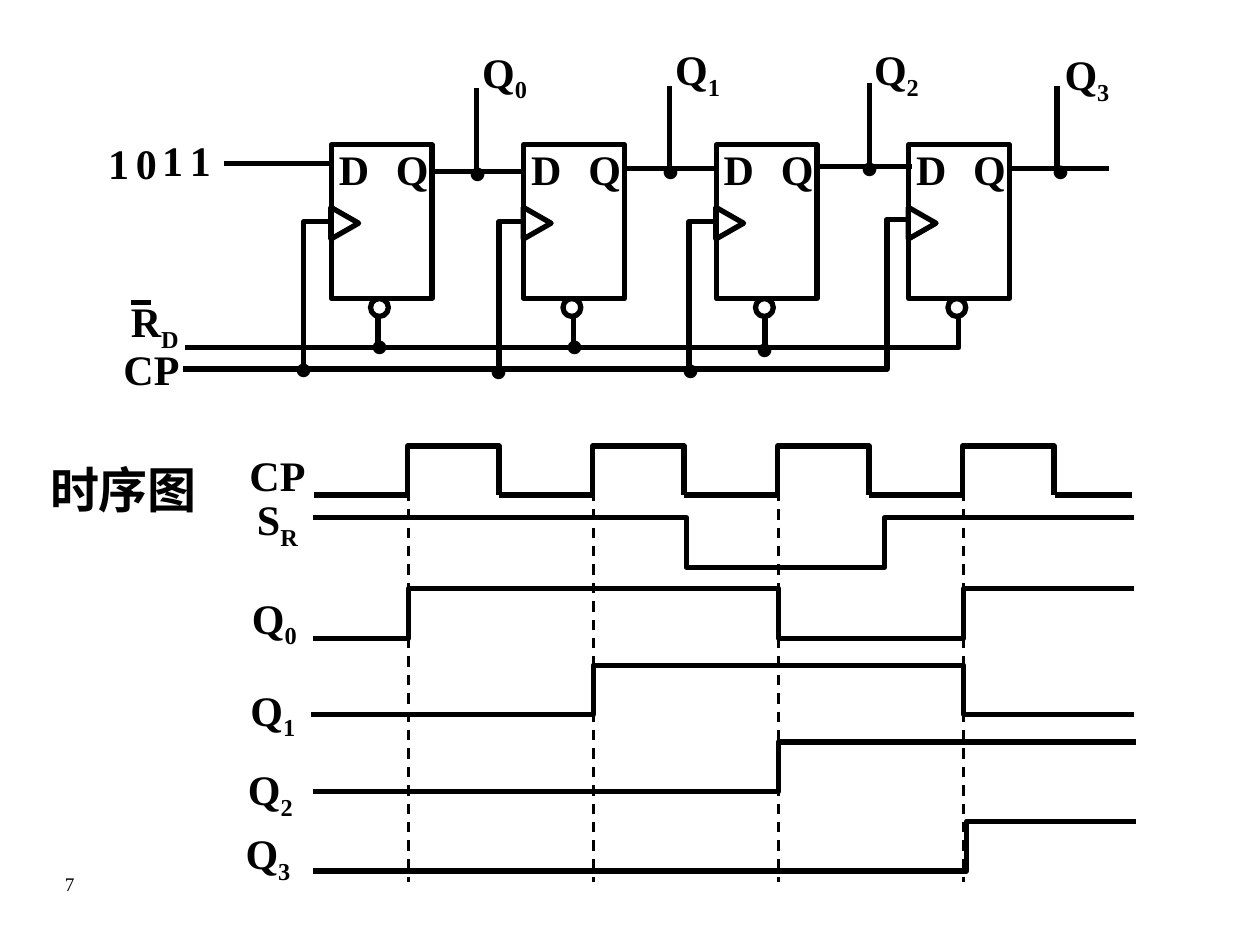
"""Builds the slide of a four-bit shift register and its timing diagram."""
from lxml.etree import SubElement
from pptx import Presentation
from pptx.dml.color import RGBColor as Rgb
from pptx.enum.dml import MSO_LINE as Dash
from pptx.enum.shapes import MSO_CONNECTOR as Link, MSO_SHAPE as Kind
from pptx.enum.text import PP_ALIGN as Align
from pptx.oxml.ns import qn
from pptx.util import Cm, Pt

COLORS = {"ink": "000000"}
FONT = "Times New Roman"
INK = Rgb.from_string(COLORS["ink"])

deck = Presentation()
deck.slide_width, deck.slide_height = Cm(25.4), Cm(19.05)
slide = deck.slides.add_slide(deck.slide_layouts[6])
shapes = slide.shapes


def trace(*spots, width=3, dash=None):
    ends = [(Cm(x), Cm(y)) for x, y in spots]
    if len(ends) == 2:
        wire = shapes.add_connector(Link.STRAIGHT, *ends[0], *ends[1])
    else:
        path = shapes.build_freeform(*ends[0])
        path.add_line_segments(ends[1:], close=False)
        wire = path.convert_to_shape()
        wire.fill.background()
        wire.shadow.inherit = False
    wire.line.color.rgb = INK
    wire.line.width = Pt(width)
    if dash:
        wire.line.dash_style = dash
    if len(ends) == 2:
        SubElement(wire._element.spPr, qn("a:effectLst"))


def label(text, x, y, w, h=1.27, sub="", size=24, bold=True, align=None):
    frame = shapes.add_textbox(Cm(x), Cm(y), Cm(w), Cm(h)).text_frame
    frame.word_wrap = True
    para = frame.paragraphs[0]
    para.alignment = align
    para.font.name, para.font.size = FONT, Pt(size)
    para.font.bold, para.font.color.rgb = bold, INK
    para.add_run().text = text
    if sub:
        run = para.add_run()
        run.text = sub
        run._r.get_or_add_rPr().set("baseline", "-25000")


label("7", 0.15, 17.45, 2.51, 0.94, size=11, bold=False, align=Align.CENTER)
label("时序图", 0.76, 9.14, 4.11, 1.57, size=28)

label("CP", 4.78, 8.94, 2.08)
for i in range(4):
    x = 6.63 + 3.73 * i
    rise, fall = x + 1.59, x + 3.43
    trace((x, 9.98), (rise, 9.98), (rise, 8.99), (fall, 8.99), (fall, 9.98))
    trace((x + 0.13, 9.98), (x - 0.3, 9.98))
    trace((x + 1.6, 9.15), (x + 1.6, 17.78), width=1.5, dash=Dash.DASH)
trace((21.26, 9.98), (22.81, 9.98))

waves = [
    ("S", "R", 4.93, 9.83, 6.32, 22.86, 10.44, True, (13.84, 17.83)),
    ("Q", "0", 4.83, 11.81, 6.32, 22.86, 11.87, False, (8.23, 15.7, 19.43)),
    ("Q", "1", 4.8, 13.67, 6.27, 22.86, 13.41, False, (11.96, 19.43)),
    ("Q", "2", 4.75, 15.27, 6.32, 22.91, 14.96, False, (15.7,)),
    ("Q", "3", 4.7, 16.56, 6.32, 22.91, 16.56, False, (19.48,)),
]
for name, sub, x, y, start, end, top, high, edges in waves:
    label(name, x, y, 2.08, sub=sub)
    level, other = (top, top + 1) if high else (top + 1, top)
    spots = [(start, level)]
    for edge in edges:
        spots += [(edge, level), (edge, other)]
        level, other = other, level
    trace(*spots, (end, level))

for i in range(4):
    x = 6.68 + 3.88 * i
    parts = [
        (Kind.RECTANGLE, x, 2.92, 2.03, 3.1, 0),
        (Kind.ISOSCELES_TRIANGLE, x - 0.05, 4.22, 0.64, 0.56, 90),
        (Kind.OVAL, x + 0.79, 6.02, 0.36, 0.36, 0),
    ]
    for kind, left, top, w, h, turn in parts:
        part = shapes.add_shape(kind, Cm(left), Cm(top), Cm(w), Cm(h))
        part.rotation = turn
        part.shadow.inherit = False
        part.fill.background()
        part.line.color.rgb, part.line.width = INK, Pt(3)
    label("D", x - 0.1, 2.77, 1.65)
    label("Q", x + 1.05, 2.77, 1.65)

label("R", 2.39, 5.84, 1.96, sub="D")
trace((2.64, 6.1), (3.05, 6.1))
trace((19.33, 6.35), (19.33, 7.01), (3.73, 7.01))
for x, end in [(7.62, 6.96), (11.56, 7.01), (15.42, 7.06)]:
    trace((x, 6.35), (x, end))

label("CP", 2.24, 6.81, 1.96)
trace((18.34, 4.42), (17.88, 4.42), (17.88, 7.44), (3.68, 7.44))
for x in (6.63, 10.57, 14.4):
    trace((x, 4.47), (x - 0.51, 4.47), (x - 0.51, 7.44))

links = [(4.52, 6.63, 3.3), (8.66, 10.57, 3.45), (12.6, 14.45, 3.4),
         (16.54, 18.39, 3.35), (20.37, 22.35, 3.4)]
for start, end, y in links:
    trace((start, y), (end, y))

taps = [(9.6, 3.4, 1.78, 9.47, 0.81), (13.49, 3.38, 1.73, 13.36, 0.76),
        (17.53, 3.3, 1.68, 17.37, 0.76), (21.31, 3.35, 1.73, 21.21, 0.86)]
for i, (x, low, top, left, y) in enumerate(taps):
    trace((x, low), (x, top))
    label("Q", left, y, 1.96, sub=str(i))

dots = [(9.17, 1.83), (13.06, 1.78), (17.07, 1.73), (20.93, 1.78),
        (13.46, 5.79), (9.6, 5.82), (5.66, 5.77),
        (7.19, 5.31), (11.13, 5.31), (14.96, 5.36)]
for x, y in dots:
    label(".", x, y, 2.18, 2.29, size=48)

for bit, x, y in [("1", 3.58, 2.59), ("1", 3.02, 2.59),
                  ("0", 2.49, 2.64), ("1", 1.93, 2.64)]:
    label(bit, x, y, 1.35)

deck.save("out.pptx")
